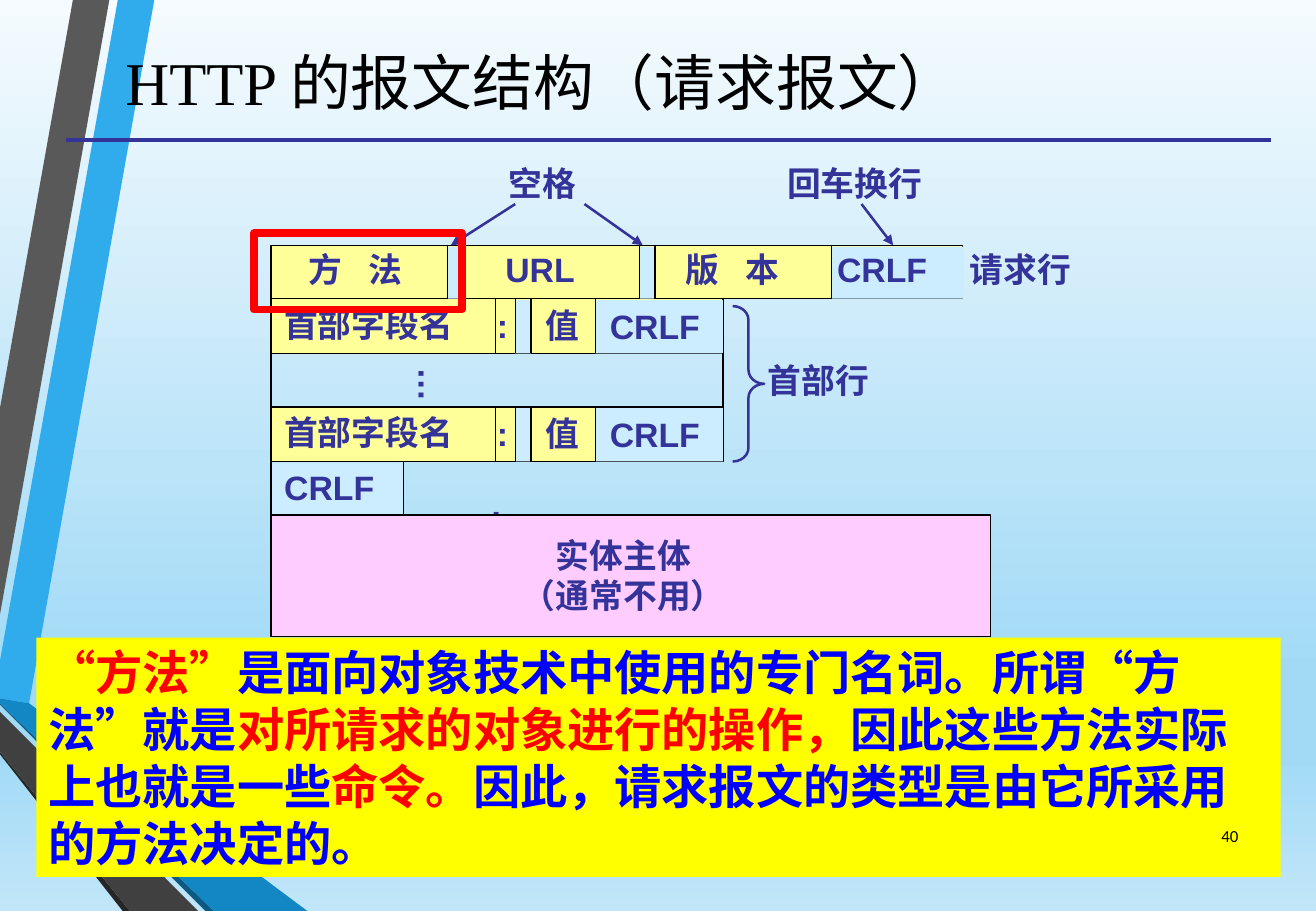
from dataclasses import dataclass

from lxml import etree
from pptx import Presentation
from pptx.dml.color import RGBColor
from pptx.enum.shapes import MSO_CONNECTOR, MSO_SHAPE
from pptx.enum.text import MSO_ANCHOR, MSO_AUTO_SIZE, PP_ALIGN
from pptx.oxml.ns import qn
from pptx.util import Pt

PX = 9144  # 100 px to the inch
STRAIGHT = MSO_CONNECTOR.STRAIGHT
RECTANGLE, RIGHT_BRACE = MSO_SHAPE.RECTANGLE, MSO_SHAPE.RIGHT_BRACE
GROW, FIXED = MSO_AUTO_SIZE.SHAPE_TO_FIT_TEXT, MSO_AUTO_SIZE.NONE
TOP, MIDDLE = MSO_ANCHOR.TOP, MSO_ANCHOR.MIDDLE
LEFT, CENTER, RIGHT = PP_ALIGN.LEFT, PP_ALIGN.CENTER, PP_ALIGN.RIGHT


@dataclass(frozen=True)
class Theme:
    ink: str = "333399"
    black: str = "000000"
    field: str = "FFFF99"
    gap: str = "CCECFF"
    body: str = "FFCCFF"
    note: str = "FFFF00"
    note_text: str = "0000FF"
    accent: str = "FF0000"
    sky: tuple = ((0, "F5FBFE"), (74, "A2DAF6"), (83, "A2DAF6"), (100, "C1E6F9"))
    latin: str = "Arial"
    chinese: str = "Noto Sans CJK SC"
    title_font: str = "Times New Roman"
    number_font: str = "Calibri"
    title_size: int = 36
    note_size: int = 28
    label_size: int = 20
    number_size: int = 10


THEME = Theme()
LABEL = {"size": Pt(THEME.label_size), "name": THEME.latin, "bold": True}
NOTE = {"size": Pt(THEME.note_size), "name": THEME.latin, "bold": True}
TITLE = {"size": Pt(THEME.title_size), "name": THEME.title_font, "bold": False}
NUMBER = {"size": Pt(THEME.number_size), "name": THEME.number_font, "bold": False}

RIBBONS = [
    ("30ACEC", [(0, 544), (0, 575), (24, 579), (127, 0), (97, 0)]),
    ("595959", [(90, 0), (60, 0), (0, 336), (0, 506)]),
    ("262626", [(0, 619), (0, 621), (101, 750), (107, 750)]),
    ("0C5A82", [(0, 579), (0, 580), (169, 750), (176, 750)]),
    ("1287C3", [(0, 579), (176, 750), (253, 750), (24, 579), (0, 575)]),
    ("404040", [(0, 619), (107, 750), (163, 750), (0, 586)]),
]
# Row parts are measured from the row's corner: strips (x, width), labels (text, x, y, width)
REQUEST_LINE = {
    "strips": [(145, 13), (303, 13), (461, 109)],
    "dividers": [145, 158, 303, 316, 461],
    "labels": [("方 法", 21, -2, 99), ("URL", 183, -2, 78), ("版 法".replace("法", "本"), 331, -2, 99),
               ("CRLF", 456, -2, 95), ("请求行", 565, -2, 104)],
}
REQUEST_LINE["labels"][2] = ("版 本", 331, -2, 99)
HEADER_LINE = {
    "strips": [(201, 13), (267, 105)],
    "dividers": [185, 201, 214, 267],
    "labels": [("首部字段名", 1, -1, 160), (":", 176, 0, 29), ("值", 216, 0, 48), ("CRLF", 269, 1, 95)],
}
OMITTED_LINE = {"strips": [], "dividers": [0, 372], "labels": []}
BLANK_LINE = {"strips": [(1, 108)], "dividers": [0, 109], "labels": [("CRLF", 1, -1, 95)]}
NOTE_RUNS = [
    ("“方法”", THEME.accent), ("是面向对象技术中使用的专门名词。所谓“方法”就是", THEME.note_text),
    ("对所请求的对象进行的操作，", THEME.accent), ("因此这些方法实际上也就是一些", THEME.note_text),
    ("命令。", THEME.accent), ("因此，请求报文的类型是由它所采用的方法决定的。", THEME.note_text),
]


def emu(lengths):
    return [length * PX for length in lengths]


def add_run(paragraph, text, color, formats):
    run = paragraph.add_run()
    run.text = text
    for name, value in formats.items():
        setattr(run.font, name, value)
    run.font.color.rgb = RGBColor.from_string(color)
    properties = run._r.get_or_add_rPr()
    etree.SubElement(properties, qn("a:ea"), typeface=THEME.chinese)
    return properties


def set_frame(frame, **settings):
    for name, value in settings.items():
        setattr(frame, name, value)


def paint(shape, fill=None, line=None, weight=0.75):
    shape.shadow.inherit = False
    if fill:
        shape.fill.solid()
        shape.fill.fore_color.rgb = RGBColor.from_string(fill)
    else:
        shape.fill.background()
    if line:
        shape.line.color.rgb = RGBColor.from_string(line)
        shape.line.width = Pt(weight)
    else:
        shape.line.fill.background()


def add_box(slide, box, kind=RECTANGLE, **look):
    shape = slide.shapes.add_shape(kind, *emu(box))
    paint(shape, **look)
    return shape


def add_line(slide, start, end, color=THEME.black, weight=0.75, arrow=False):
    line = slide.shapes.add_connector(STRAIGHT, *emu(start + end))
    line.line.color.rgb = RGBColor.from_string(color)
    line.line.width = Pt(weight)
    if arrow:
        etree.SubElement(line.line._get_or_add_ln(), qn("a:tailEnd"), type="triangle")
    etree.SubElement(line._element.spPr, qn("a:effectLst"))


def add_label(slide, text, left, top, width, height=44, align=LEFT):
    label = slide.shapes.add_textbox(*emu((left, top, width, height)))
    frame = label.text_frame
    set_frame(frame, word_wrap=False, auto_size=GROW)
    for index, line in enumerate(text.split("\n")):
        paragraph = frame.add_paragraph() if index else frame.paragraphs[0]
        paragraph.alignment = align
        properties = add_run(paragraph, line, THEME.ink, LABEL)
        if " " in line:
            properties.set("spc", "556")
    return label


def add_backdrop(slide):
    fill = slide.background.fill
    fill.gradient()
    fill.gradient_angle = 270
    stops = next(slide._element.iter(qn("a:gsLst")))
    for stop in list(stops):
        stops.remove(stop)
    for position, color in THEME.sky:
        stop = etree.SubElement(stops, qn("a:gs"), pos=str(position * 1000))
        etree.SubElement(stop, qn("a:srgbClr"), val=color)
    for color, points in RIBBONS:
        builder = slide.shapes.build_freeform(*points[0], scale=PX)
        builder.add_line_segments(points[1:], close=True)
        paint(builder.convert_to_shape(), fill=color)
    add_line(slide, (54, 115), (1046, 115), THEME.ink, 2.25)


def add_title(slide, box, text):
    title = slide.shapes.title
    title.left, title.top, title.width, title.height = emu(box)
    set_frame(title.text_frame, word_wrap=True, auto_size=FIXED, vertical_anchor=MIDDLE)
    paragraph = title.text_frame.paragraphs[0]
    paragraph.alignment = CENTER
    add_run(paragraph, text, THEME.black, TITLE)
    slide.shapes._spTree.append(title._element)  # in front of the ribbons


def add_row(slide, box, parts, filled=True):
    left, top, width, height = box
    if filled:
        add_box(slide, box, fill=THEME.field, line=THEME.black)
    for x, strip_width in parts["strips"]:
        add_box(slide, (left + x, top + 1, strip_width, height - 1), fill=THEME.gap)
    for x in parts["dividers"]:
        add_line(slide, (left + x, top), (left + x, top + height))
    for text, x, y, label_width in parts["labels"]:
        add_label(slide, text, left + x, top + y, label_width)


def add_message(slide, left, top):
    """Draws the request message, with the request line's corner at left, top."""
    tops = [round(top + 44.4 * index) for index in range(6)]
    for index in (1, 3):
        add_row(slide, (left, tops[index], 372, 45), HEADER_LINE)
    add_row(slide, (left, tops[0], 569, 44), REQUEST_LINE)
    add_row(slide, (left, tops[2], 372, 44), OMITTED_LINE, filled=False)
    add_row(slide, (left, tops[4], 109, 44), BLANK_LINE, filled=False)
    add_label(slide, "…", left + 91, tops[2] + 3, 48).rotation = 270
    add_label(slide, ":", left + 171, top + 201, 29)

    brace = add_box(slide, (left + 380, top + 50, 26, 128), RIGHT_BRACE, line=THEME.ink, weight=1.5)
    brace.adjustments[0] = 0.44
    add_label(slide, "首部行", left + 399, tops[2], 104)
    add_box(slide, (left, tops[5], 592, 100), fill=THEME.body, line=THEME.black)
    add_label(slide, "实体主体\n（通常不用）", left + 196, tops[5] + 11, 188, 77, CENTER)

    add_label(slide, "空格", left + 186, top - 73, 76)
    add_label(slide, "回车换行", left + 415, top - 73, 132)
    for start, end in ((258, 306), (201, 148), (486, 512)):
        add_line(slide, (left + start, top - 34), (left + end, top), THEME.ink, 1.5, arrow=True)


def add_note(slide, box):
    frame = add_box(slide, box, fill=THEME.note).text_frame
    set_frame(frame, word_wrap=True, vertical_anchor=TOP)
    paragraph = frame.paragraphs[0]
    paragraph.alignment = LEFT
    for text, color in NOTE_RUNS:
        add_run(paragraph, text, color, NOTE)


def add_page_number(slide, box, number):
    frame = slide.shapes.add_textbox(*emu(box)).text_frame
    set_frame(frame, word_wrap=True, vertical_anchor=MIDDLE)
    frame.paragraphs[0].alignment = RIGHT
    add_run(frame.paragraphs[0], number, THEME.black, NUMBER)


def main():
    presentation = Presentation()
    presentation.slide_width, presentation.slide_height = emu((1083, 750))
    slide = presentation.slides.add_slide(presentation.slide_layouts[5])
    add_backdrop(slide)
    add_message(slide, 223, 202)
    add_note(slide, (30, 525, 1024, 197))
    add_box(slide, (209, 192, 171, 63), line=THEME.accent, weight=4.5)
    add_page_number(slide, (978, 668, 51, 40), "40")
    add_title(slide, (37, 5, 818, 124), "HTTP 的报文结构（请求报文）")
    presentation.save("out.pptx")


if __name__ == "__main__":
    main()
